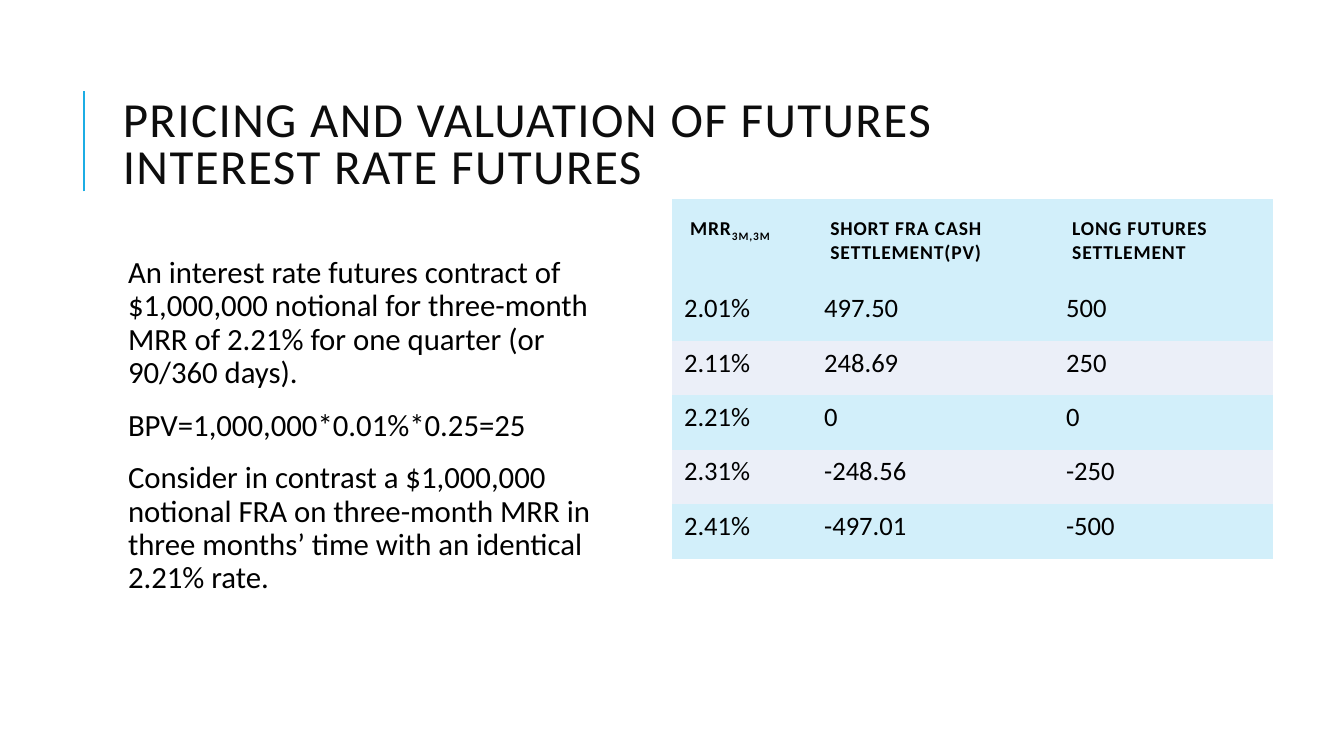
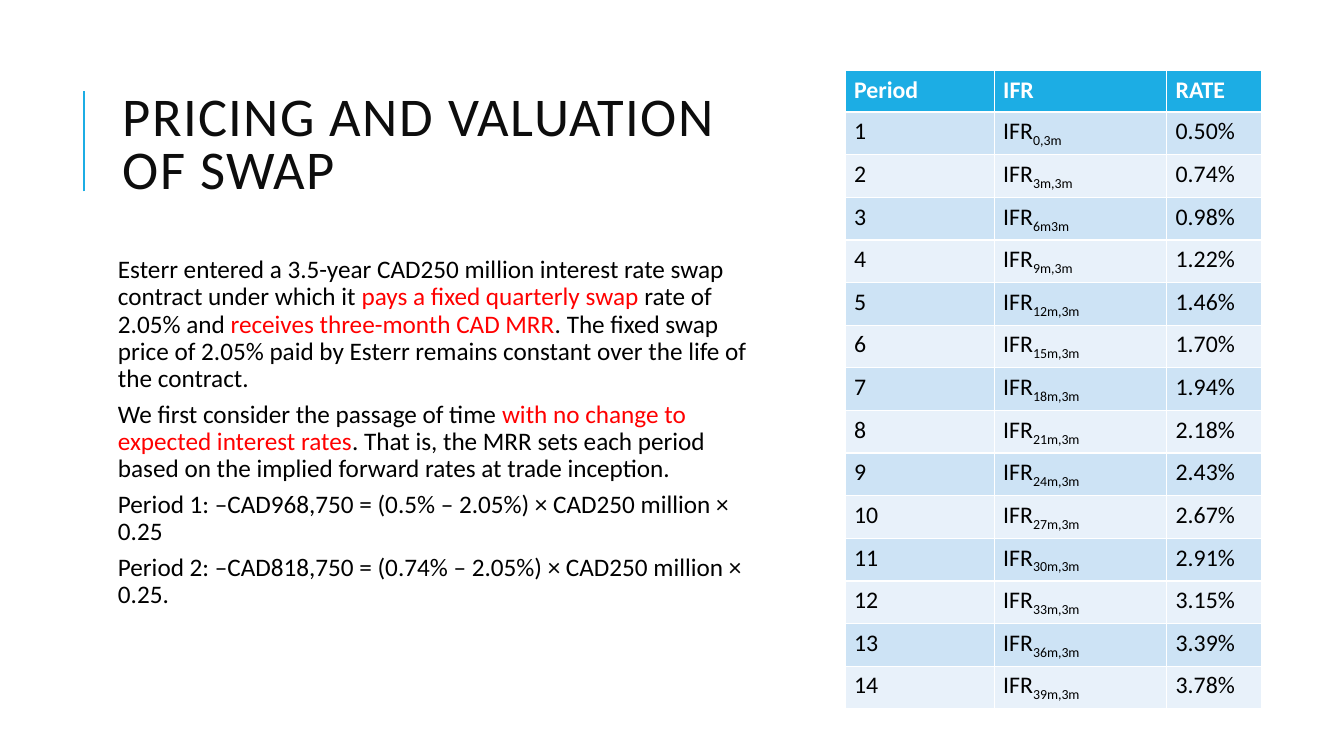
from dataclasses import dataclass, replace

from lxml import etree
from pptx import Presentation
from pptx.dml.color import RGBColor
from pptx.enum.shapes import MSO_CONNECTOR as Connector
from pptx.enum.text import MSO_ANCHOR as Anchor
from pptx.oxml.ns import qn
from pptx.util import Inches, Pt

WIDTH, HEIGHT = Inches(13.33), Inches(7.5)
ACCENT, TITLE_INK, INK, RED, WHITE = "1CADE4", "0D0D0D", "000000", "FF0000", "FFFFFF"
PLAIN_TABLE = "{2D5ABB26-0587-4C30-8999-92F81FD0307C}"
TEXT_LEFT, TITLE_TOP, BODY_TOP = 8.4, 8.53, 33.33
TITLE_HEIGHT, BODY_HEIGHT = 21.87, 57.33

FUTURES_TEXT = [
    "An interest rate futures contract of $1,000,000 notional for three-month MRR of 2.21% "
    "for one quarter (or 90/360 days).",
    "BPV=1,000,000*0.01%*0.25=25",
    "Consider in contrast a $1,000,000 notional FRA on three-month MRR in three months’ time "
    "with an identical 2.21% rate.",
]
FUTURES_ROWS = [
    ("MRR_3M,3M", "SHORT FRA CASH SETTLEMENT(PV)", "LONG FUTURES SETTLEMENT"),
    ("2.01%", "497.50", "500"),
    ("2.11%", "248.69", "250"),
    ("2.21%", "0", "0"),
    ("2.31%", "-248.56", "-250"),
    ("2.41%", "-497.01", "-500"),
]
SWAP_TEXT = [
    "Esterr entered a 3.5-year CAD250 million interest rate swap contract under which it "
    "|pays a fixed quarterly swap |rate of 2.05% and |receives three-month CAD MRR|. "
    "The fixed swap price of 2.05% paid by Esterr remains constant over the life of the contract.",
    "We first consider the passage of time |with no change to expected interest rates|. "
    "That is, the MRR sets each period based on the implied forward rates at trade inception.",
    "Period 1: –CAD968,750 = (0.5% – 2.05%) × CAD250 million × 0.25",
    "Period 2: –CAD818,750 = (0.74% – 2.05%) × CAD250 million × 0.25.",
]
FORWARDS = ["0,3m", "3m,3m", "6m3m"] + [f"{month}m,3m" for month in range(9, 40, 3)]
RATES = ("0.50% 0.74% 0.98% 1.22% 1.46% 1.70% 1.94% "
         "2.18% 2.43% 2.67% 2.91% 3.15% 3.39% 3.78%").split()
SWAP_ROWS = [("Period", "IFR", "RATE")] + [
    (str(number), f"IFR_{forward}", rate)
    for number, (forward, rate) in enumerate(zip(FORWARDS, RATES), 1)
]


@dataclass(frozen=True)
class TextStyle:
    """Describe the look of a span of text."""
    size: float
    color: str = INK
    bold: bool = False
    spacing: float = 0
    baseline: int = 0


@dataclass(frozen=True)
class RowStyle:
    """Describe the text, the padding in inches and the fills of table rows."""
    text: TextStyle
    padding: tuple
    fills: tuple


def rgb(color):
    """Turn a hex string into a colour."""
    return RGBColor.from_string(color)


def across(share):
    """Convert a percentage of the slide's width to a length."""
    return round(WIDTH * share / 100)


def down(share):
    """Convert a percentage of the slide's height to a length."""
    return round(HEIGHT * share / 100)


def set_padding(target, left, top, right, bottom):
    """Set the inner margins of a text frame or cell, in inches."""
    target.margin_left, target.margin_top = Inches(left), Inches(top)
    target.margin_right, target.margin_bottom = Inches(right), Inches(bottom)


def format_span(span, style):
    """Apply a text style to one run."""
    font = span.font
    font.name, font.size, font.bold = "Calibri", Pt(style.size), style.bold
    font.color.rgb = rgb(style.color)
    properties = font._element
    if style.spacing:
        properties.set("spc", str(round(style.spacing * 100)))
    if style.baseline:
        properties.set("baseline", str(style.baseline * 1000))


def write(para, text, style):
    """Write text where | toggles red and _ starts a subscript."""
    for index, part in enumerate(text.split("|")):
        shade = replace(style, color=RED) if index % 2 else style
        base, _, subscript = part.partition("_")
        for words, look in ((base, shade), (subscript, replace(shade, baseline=-25))):
            if words:
                span = para.add_run()
                span.text = words
                format_span(span, look)


def add_box(page, left, top, width, height):
    """Add a wrapping text box and return its text frame."""
    box = page.shapes.add_textbox(across(left), down(top), across(width), down(height))
    box.text_frame.word_wrap = True
    return box.text_frame


def add_title(page, text, width, size):
    """Add the accent rule and the title beside it."""
    x = across(6.25)
    rule = page.shapes.add_connector(Connector.STRAIGHT, x, down(25.33), x, down(12))
    rule.line.color.rgb, rule.line.width = rgb(ACCENT), Pt(1.5)
    etree.SubElement(rule._element.spPr, qn("a:effectLst"))
    frame = add_box(page, TEXT_LEFT, TITLE_TOP, width, TITLE_HEIGHT)
    frame.vertical_anchor = Anchor.MIDDLE
    para = frame.paragraphs[0]
    para.text, para.line_spacing = text, 0.8
    for span in para.runs:
        format_span(span, TextStyle(size, TITLE_INK, spacing=1))


def add_body(page, texts, width, size, before, after, indent=0):
    """Add the body paragraphs under the title."""
    frame = add_box(page, TEXT_LEFT, BODY_TOP, width, BODY_HEIGHT)
    set_padding(frame, 0.05 + indent, 0.05, 0.05, 0.05)
    for index, text in enumerate(texts):
        para = frame.add_paragraph() if index else frame.paragraphs[0]
        para.line_spacing, para.space_after = 0.9, Pt(after)
        if index:
            para.space_before = Pt(before)
        write(para, text, TextStyle(size))


def add_table(page, left, top, columns, heights, rows, header, body, plain=False):
    """Add a table with a header row and alternating body fills."""
    frame = page.shapes.add_table(len(rows), len(columns), across(left), down(top),
                                  across(sum(columns)), down(sum(heights)))
    table = frame.table
    if plain:
        table._tbl.tblPr.find(qn("a:tableStyleId")).text = PLAIN_TABLE
    for column, width in zip(table.columns, columns):
        column.width = across(width)
    for index, (row, height, texts) in enumerate(zip(table.rows, heights, rows)):
        row.height = down(height)
        style = body if index else header
        for cell, text in zip(row.cells, texts):
            set_padding(cell, *style.padding)
            cell.fill.solid()
            cell.fill.fore_color.rgb = rgb(style.fills[(index - 1) % len(style.fills)])
            write(cell.text_frame.paragraphs[0], text, style.text)


def build_futures(page):
    """Build the interest rate futures slide."""
    add_title(page, "PRICING AND VALUATION OF FUTURES\vINTEREST RATE FUTURES", 79.6, 35)
    add_body(page, FUTURES_TEXT, 36.3, 22, before=12, after=2, indent=0.1)
    header = RowStyle(TextStyle(14, bold=True, spacing=0.6), (0.18,) * 4, ("D2EFFA",))
    body = RowStyle(TextStyle(19), (0.12, 0.06, 0.12, 0.12), ("D2EFFA", "EBEFF8"))
    add_table(page, 50, 26.3, (10.43, 18, 16.28), [11.6] + [7.2] * 5,
              FUTURES_ROWS, header, body, plain=True)


def build_swap(page):
    """Build the swap slide."""
    add_title(page, "PRICING AND VALUATION OF SWAP", 48.4, 39)
    add_body(page, SWAP_TEXT, 48.4, 18, before=0, after=6)
    padding = (0.09, 0.05, 0.09, 0.05)
    header = RowStyle(TextStyle(17, WHITE, bold=True), padding, (ACCENT,))
    body = RowStyle(TextStyle(17), padding, ("CDE3F5", "E8F1FA"))
    add_table(page, 62.87, 9.33, (11.1, 12.83, 7.05), [5.5] * len(SWAP_ROWS),
              SWAP_ROWS, header, body)


def main():
    """Build and save the deck."""
    deck = Presentation()
    deck.slide_width, deck.slide_height = WIDTH, HEIGHT
    for build in (build_futures, build_swap):
        build(deck.slides.add_slide(deck.slide_layouts[6]))
    deck.save("out.pptx")


if __name__ == "__main__":
    main()
